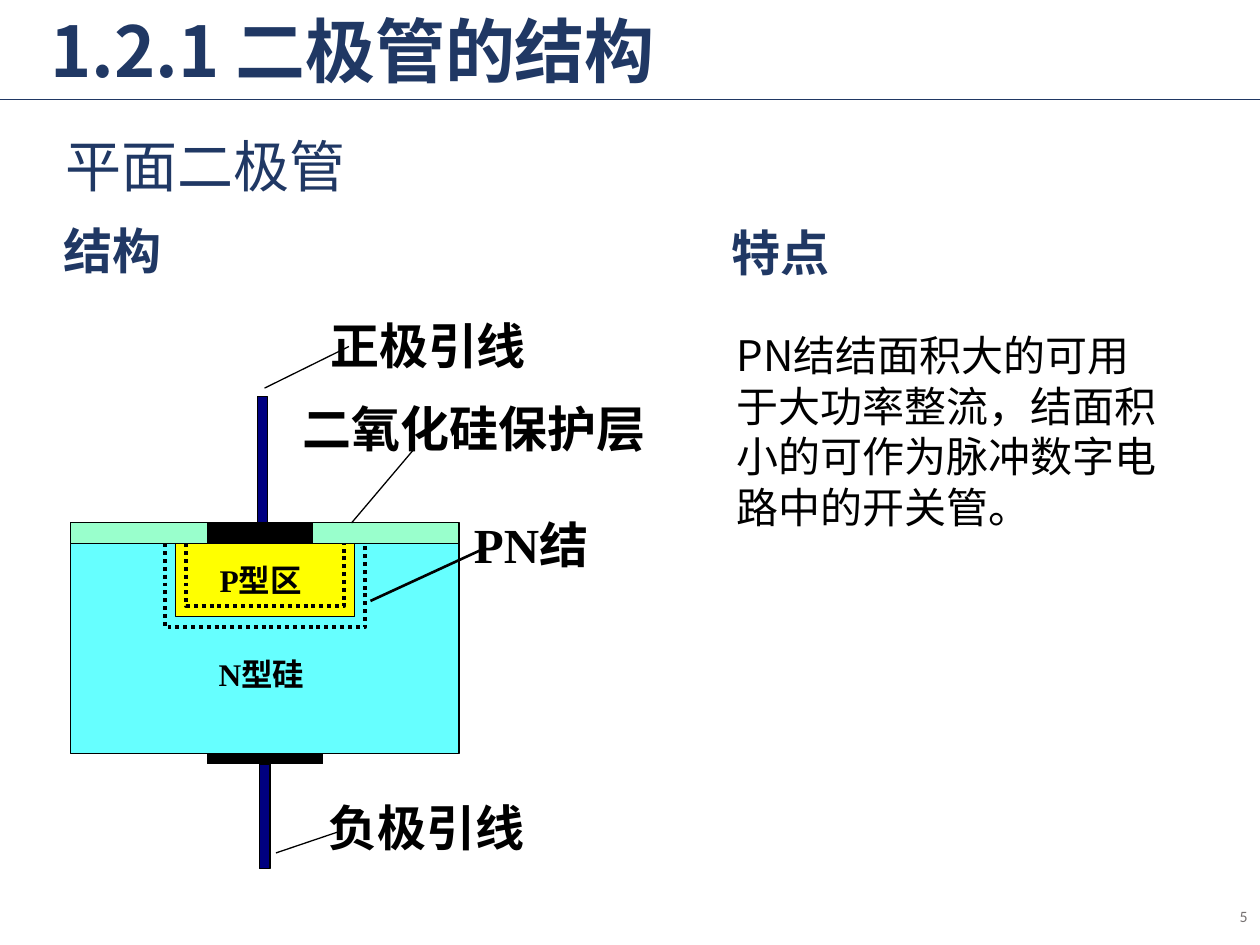
from lxml.etree import SubElement
from pptx import Presentation
from pptx.dml.color import RGBColor
from pptx.enum.dml import MSO_LINE
from pptx.enum.shapes import MSO_CONNECTOR, MSO_SHAPE
from pptx.enum.text import MSO_ANCHOR as ANCHOR, MSO_AUTO_SIZE as AUTO, PP_ALIGN as ALIGN
from pptx.oxml.ns import qn
from pptx.util import Pt

NAVY = RGBColor(0x20, 0x38, 0x64)
BLACK = RGBColor(0, 0, 0)
WHITE = RGBColor(0xFF, 0xFF, 0xFF)
GREY = RGBColor(0x76, 0x71, 0x71)
CYAN = RGBColor(0x66, 0xFF, 0xFF)
YELLOW = RGBColor(0xFF, 0xFF, 0)
MINT = RGBColor(0x99, 0xFF, 0xCC)
LEAD_BLUE = RGBColor(0, 0, 0x80)
SANS = "Noto Sans CJK SC"
SERIF = "Times New Roman"


def write(sp, text, size, font, color=BLACK, bold=False, align=ALIGN.LEFT,
          anchor=ANCHOR.TOP, wrap=False, spacing=None):
    tf = sp.text_frame
    tf.auto_size = AUTO.NONE
    tf.word_wrap = wrap
    tf.vertical_anchor = anchor
    p = tf.paragraphs[0]
    p.alignment = align
    if spacing:
        p.line_spacing = spacing
    r = p.add_run()
    r.text = text
    r.font.size = Pt(size)
    r.font.bold = bold
    r.font.color.rgb = color
    r.font.name = font
    SubElement(r.font._element, qn("a:ea")).set("typeface", SANS)


def add_text(s, box, text, size, font, **style):
    sp = s.shapes.add_textbox(*map(Pt, box))
    write(sp, text, size, font, **style)


def add_label(s, box, text, size=28, wrap=False):
    add_text(s, box, text, size, SERIF, bold=True, align=ALIGN.CENTER,
             anchor=ANCHOR.MIDDLE, wrap=wrap)


def add_rect(s, box, fill=None, line=BLACK, width=0.75):
    sp = s.shapes.add_shape(MSO_SHAPE.RECTANGLE, *map(Pt, box))
    sp.shadow.inherit = False
    if fill is None:
        sp.fill.background()
    else:
        sp.fill.solid()
        sp.fill.fore_color.rgb = fill
    sp.line.color.rgb = line
    sp.line.width = Pt(width)
    return sp


def add_line(s, ends, color=BLACK, width=0.75):
    cn = s.shapes.add_connector(MSO_CONNECTOR.STRAIGHT, *map(Pt, ends))
    cn.line.color.rgb = color
    cn.line.width = Pt(width)
    SubElement(cn._element.spPr, qn("a:effectLst"))


def add_dotted_well(s, left, top, width, height):
    right, bottom = left + width, top + height
    fb = s.shapes.build_freeform(Pt(left), Pt(top))
    corners = [(left, bottom), (right, bottom), (right, top)]
    fb.add_line_segments([(Pt(x), Pt(y)) for x, y in corners], close=False)
    sp = fb.convert_to_shape()
    sp.shadow.inherit = False
    sp.fill.background()
    sp.line.color.rgb = BLACK
    sp.line.width = Pt(2.25)
    sp.line.dash_style = MSO_LINE.ROUND_DOT


def add_diode(s):
    for box, fill in [
        ((40.3, 310.5, 222, 120), CYAN),
        ((100.5, 310.5, 102, 42), YELLOW),
        ((40.3, 298.5, 222, 12), MINT),
        ((118.5, 298.5, 60, 12), BLACK),
        ((118.5, 430.5, 66, 6), BLACK),
        ((147, 226.5, 6, 72), LEAD_BLUE),
        ((148.3, 436.5, 6, 60), LEAD_BLUE),
    ]:
        add_rect(s, box, fill)
    add_label(s, (118, 316.8, 62, 28.8), "P型区", 18, wrap=True)
    add_dotted_well(s, 94.5, 310.5, 114, 48)
    add_dotted_well(s, 106.5, 310.5, 90, 36)
    add_label(s, (117.4, 370.8, 64, 28.8), "N型硅", 18, wrap=True)


def add_callouts(s):
    for box, text, wrap, ends, width in [
        ((178.7, 176.4, 131.8, 41), "正极引线", False, (151.2, 221.8, 199.4, 198), 0.75),
        ((164.9, 223.9, 211.7, 41), "二氧化硅保护层", False, (236.9, 256.3, 200.9, 298.8), 0.75),
        ((177, 452.2, 133.2, 41), "负极引线", False, (157.7, 487.4, 193.7, 475.2), 0.75),
        ((263.5, 290.2, 79.9, 41), "PN结", True, (211.7, 343.4, 277.2, 313.2), 1.5),
    ]:
        add_label(s, box, text, wrap=wrap)
        add_line(s, ends, width=width)


def main():
    """Build the slide on the structure of the planar diode."""
    prs = Presentation()
    prs.slide_width, prs.slide_height = Pt(720), Pt(540)
    s = prs.slides.add_slide(prs.slide_layouts[6])
    add_line(s, (0, 56.9, 720, 56.9), NAVY, 1)
    add_text(s, (21.6, 5.8, 379.4, 51.1), "1.2.1 二极管的结构", 40, SANS, color=NAVY,
             bold=True, anchor=ANCHOR.MIDDLE, spacing=0.9)
    add_text(s, (29.5, 61.9, 176.4, 55.4), "平面二极管", 32, SANS, color=NAVY,
             align=ALIGN.CENTER, anchor=ANCHOR.MIDDLE, spacing=1.25)
    add_text(s, (29.3, 122.4, 71.5, 41), "结构", 28, SERIF, color=NAVY, bold=True)
    add_text(s, (411.1, 123.8, 210.2, 41), "特点", 28, SERIF, color=NAVY, bold=True,
             wrap=True)
    add_diode(s)
    add_callouts(s)
    sp = add_rect(s, (414, 185, 261.4, 123.8), line=WHITE, width=3)
    write(sp, "PN结结面积大的可用于大功率整流，结面积小的可作为脉冲数字电路中的开关管。",
          24, SANS, wrap=True)
    add_text(s, (558, 509, 162, 28.8), "5", 9, "Calibri", color=GREY,
             align=ALIGN.RIGHT, anchor=ANCHOR.MIDDLE, wrap=True)
    prs.save("out.pptx")


if __name__ == "__main__":
    main()
